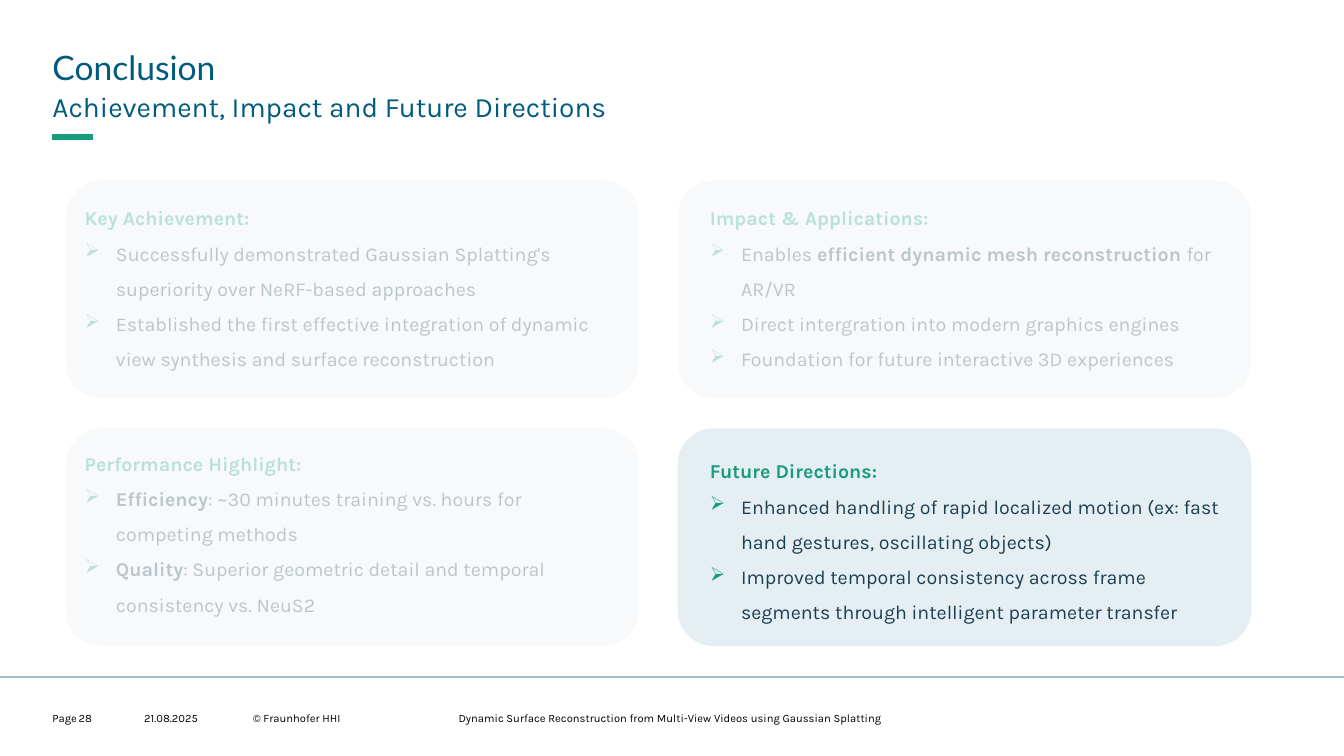
from lxml import etree
from pptx import Presentation
from pptx.dml.color import RGBColor
from pptx.enum.shapes import MSO_CONNECTOR, MSO_SHAPE
from pptx.enum.text import MSO_ANCHOR, PP_ALIGN
from pptx.oxml.ns import qn
from pptx.util import Inches, Pt

ROUNDED = MSO_SHAPE.ROUNDED_RECTANGLE
STRAIGHT = MSO_CONNECTOR.STRAIGHT
TOP, MIDDLE = MSO_ANCHOR.TOP, MSO_ANCHOR.MIDDLE
LEFT, CENTER = PP_ALIGN.LEFT, PP_ALIGN.CENTER

COLORS = {
    "heading": "005B7F", "accent": "179C7D", "text": "1C3F52", "card": "E5EEF2",
    "rule": "A6BBC8", "footer": "000000", "veil": "FFFFFF",
}
TITLE = "Conclusion"
SUBTITLE = "Achievement, Impact and Future Directions"

# Words between ** marks are bold
CARDS = [
    {"heading": "Key Achievement:", "column": 0, "row": 0, "text_at": (0.84, 1.93),
     "points": [
         "Successfully demonstrated Gaussian Splatting's superiority over NeRF-based approaches",
         "Established the first effective integration of dynamic view synthesis and surface "
         "reconstruction"]},
    {"heading": "Impact & Applications:", "column": 1, "row": 0, "text_at": (7.04, 1.93),
     "points": [
         "Enables **efficient dynamic mesh reconstruction **for AR/VR",
         "Direct intergration into modern graphics engines",
         "Foundation for future interactive 3D experiences"]},
    {"heading": "Performance Highlight:", "column": 0, "row": 1, "text_at": (0.84, 4.44),
     "heading_spacing": Pt(19.6),
     "points": [
         "**Efficiency**: ~30 minutes training vs. hours for competing methods",
         "**Quality**: Superior geometric detail and temporal consistency vs. NeuS2"]},
    {"heading": "Future Directions:", "column": 1, "row": 1, "text_at": (7.04, 4.44),
     "points": [
         "Enhanced handling of rapid localized motion (ex: fast hand gestures, oscillating objects)",
         "Improved temporal consistency across frame segments through intelligent parameter "
         "transfer"]},
]
# text, left, width, alignment
FOOTER = [
    ("Page", 0.52, 0.25, LEFT),
    ("28", 0.78, 0.45, LEFT),
    ("21.08.2025", 1.43, 0.94, LEFT),
    ("© Fraunhofer HHI", 2.51, 1.8, LEFT),
    ("Dynamic Surface Reconstruction from Multi-View Videos using Gaussian Splatting",
     4.45, 4.4, CENTER),
]
# start, end, colour, points
RULES = [
    ((0.52, 1.36), (0.92, 1.36), "accent", 4),
    ((0, 6.72), (13.33, 6.72), "rule", 1.5),
]
VEIL = [(0.61, 1.5), (12.54, 1.54), (12.56, 4.03), (6.53, 4.03), (6.54, 6.5), (0.45, 6.46)]
VEIL_OPACITY = 70

CARD_LEFT, CARD_TOP = 0.65, 1.79
CARD_WIDTH, CARD_HEIGHT = 5.69, 2.16
COLUMN_STEP, ROW_STEP = 6.07, 2.46
TEXT_WIDTH, TEXT_HEIGHT = 5.16, 1.73
BULLET_INDENT = 0.31


def color(name):
    return RGBColor.from_string(COLORS[name])


def place(shape, left, top, width, height):
    shape.left, shape.top = Inches(left), Inches(top)
    shape.width, shape.height = Inches(width), Inches(height)


def prepare_frame(shape, anchor=TOP, wrap=True):
    """Remove the insets and return the text frame."""
    frame = shape.text_frame
    frame.margin_left = frame.margin_right = frame.margin_top = frame.margin_bottom = 0
    frame.vertical_anchor = anchor
    frame.word_wrap = wrap
    return frame


def write(paragraph, text, size=14, font="Karla", ink="text", bold=False,
          align=LEFT, spacing=1.0, bullet=None):
    properties = paragraph._p.get_or_add_pPr()
    indent = Inches(BULLET_INDENT) if bullet else 0
    properties.set("marL", str(indent))
    properties.set("indent", str(-indent))
    if bullet:
        bullet_color = etree.SubElement(properties, qn("a:buClr"))
        etree.SubElement(bullet_color, qn("a:srgbClr"), val=COLORS["accent"])
        etree.SubElement(properties, qn("a:buChar"), char=bullet)
    else:
        etree.SubElement(properties, qn("a:buNone"))
    paragraph.alignment = align
    paragraph.line_spacing = spacing
    paragraph.space_before = Pt(0)
    for index, part in enumerate(text.split("**")):
        if not part:
            continue
        run = paragraph.add_run()
        run.text = part
        run.font.size = Pt(size)
        run.font.name = font
        run.font.bold = bold or index % 2 == 1
        run.font.color.rgb = color(ink)


def fill_plain(shape, name):
    shape.shadow.inherit = False
    shape.fill.solid()
    shape.fill.fore_color.rgb = color(name)
    shape.line.fill.background()


def add_rule(slide, start, end, name, points):
    rule = slide.shapes.add_connector(STRAIGHT, *map(Inches, start + end))
    rule.line.color.rgb = color(name)
    rule.line.width = Pt(points)
    etree.SubElement(rule._element.spPr, qn("a:effectLst"))


def add_card(slide, card):
    box = slide.shapes.add_shape(
        ROUNDED,
        Inches(CARD_LEFT + card["column"] * COLUMN_STEP),
        Inches(CARD_TOP + card["row"] * ROW_STEP),
        Inches(CARD_WIDTH), Inches(CARD_HEIGHT))
    fill_plain(box, "card")
    left, top = card["text_at"]
    text_box = slide.shapes.add_textbox(
        Inches(left), Inches(top), Inches(TEXT_WIDTH), Inches(TEXT_HEIGHT))
    frame = prepare_frame(text_box)
    write(frame.paragraphs[0], card["heading"], ink="accent", bold=True,
          spacing=card.get("heading_spacing", 1.5))
    for point in card["points"]:
        write(frame.add_paragraph(), point, spacing=1.5, bullet="➢")


def add_veil(slide):
    """Fade the three cards that are not in focus."""
    points = [(Inches(x), Inches(y)) for x, y in VEIL]
    builder = slide.shapes.build_freeform(*points[0])
    builder.add_line_segments(points[1:], close=True)
    veil = builder.convert_to_shape()
    fill_plain(veil, "veil")
    fill_color = veil._element.spPr.find(qn("a:solidFill"))[0]
    etree.SubElement(fill_color, qn("a:alpha"), val=str(VEIL_OPACITY * 1000))


def main():
    presentation = Presentation()
    presentation.slide_width, presentation.slide_height = Inches(13.33), Inches(7.5)
    slide = presentation.slides.add_slide(presentation.slide_layouts[1])

    title, subtitle = slide.shapes.title, slide.placeholders[1]
    place(title, 0.52, 0.43, 12.28, 0.42)
    write(prepare_frame(title).paragraphs[0], TITLE, size=24, font="Lato",
          ink="heading", spacing=1.1)
    place(subtitle, 0.52, 0.85, 12.28, 0.35)
    write(prepare_frame(subtitle).paragraphs[0], SUBTITLE, size=20,
          ink="heading", spacing=1.1)

    for rule in RULES:
        add_rule(slide, *rule)
    for text, left, width, align in FOOTER:
        label = slide.shapes.add_textbox(
            Inches(left), Inches(7.06), Inches(width), Inches(0.13))
        frame = prepare_frame(label, anchor=MIDDLE)
        write(frame.paragraphs[0], text, size=8, ink="footer", align=align)
    for card in CARDS:
        add_card(slide, card)
    add_veil(slide)
    presentation.save("out.pptx")


if __name__ == "__main__":
    main()
